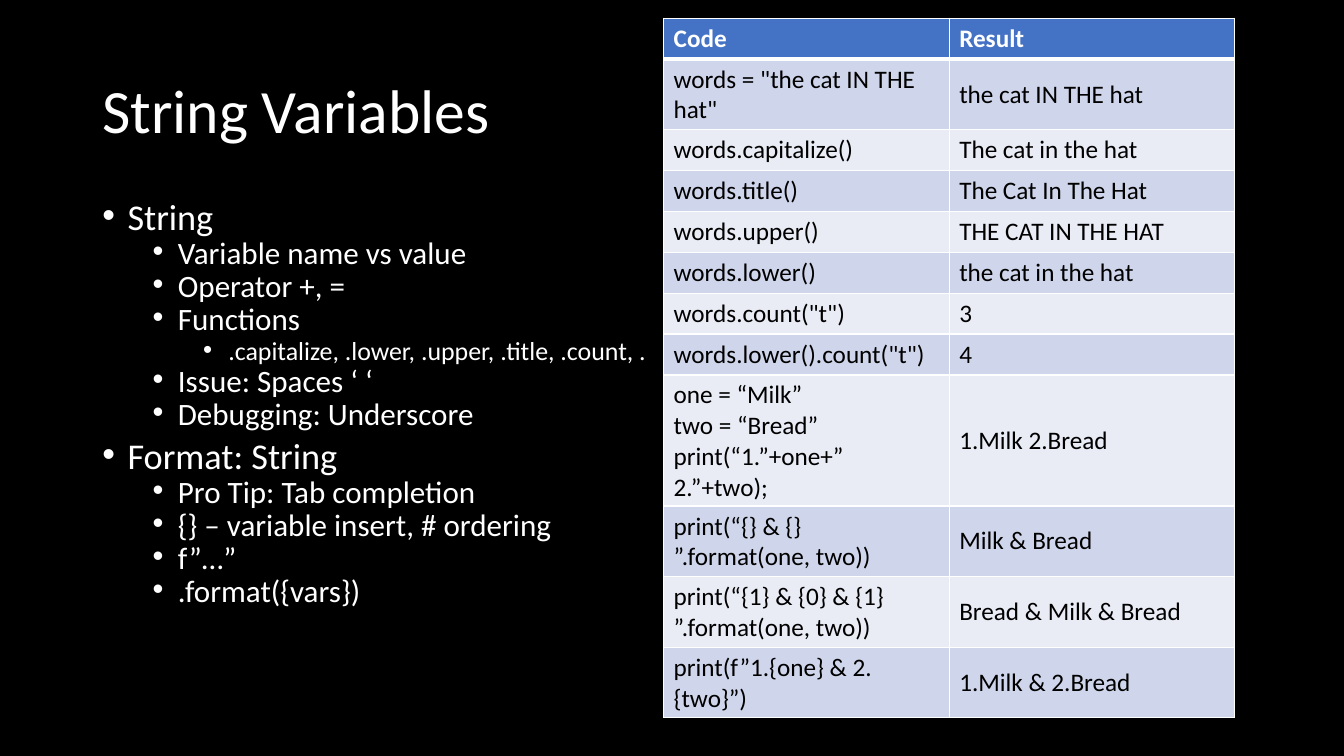
from lxml.etree import SubElement
from pptx import Presentation
from pptx.dml.color import RGBColor
from pptx.enum.text import MSO_ANCHOR
from pptx.oxml.ns import qn
from pptx.util import Pt

BLACK = RGBColor(0x00, 0x00, 0x00)
WHITE = RGBColor(0xFF, 0xFF, 0xFF)
HEADER_BLUE = RGBColor(0x44, 0x72, 0xC4)
BAND_DARK = RGBColor(0xCF, 0xD5, 0xEA)
BAND_LIGHT = RGBColor(0xE9, 0xEB, 0xF5)
FONT = "Calibri"

# Outline: (level, text)
TOPICS = [
    (0, "String"),
    (1, "Variable name vs value"),
    (1, "Operator +, ="),
    (1, "Functions"),
    (2, ".capitalize, .lower, .upper, .title, .count, ."),
    (1, "Issue: Spaces ‘ ‘"),
    (1, "Debugging: Underscore"),
    (0, "Format: String"),
    (1, "Pro Tip: Tab completion"),
    (1, "{} – variable insert, # ordering"),
    (1, "f”…”"),
    (1, ".format({vars})"),
]
LEVEL_SIZES = [25.9, 22.2, 18.5]
LEVEL_GAPS = [10, 5, 5]

EXAMPLES = [
    ("Code", "Result"),
    ('words = "the cat IN THE hat"', "the cat IN THE hat"),
    ("words.capitalize()", "The cat in the hat"),
    ("words.title()", "The Cat In The Hat"),
    ("words.upper()", "THE CAT IN THE HAT"),
    ("words.lower()", "the cat in the hat"),
    ('words.count("t")', "3"),
    ('words.lower().count("t")', "4"),
    ("one = “Milk”\ntwo = “Bread”\nprint(“1.”+one+” 2.”+two);", "1.Milk 2.Bread"),
    ("print(“{} & {} ”.format(one, two))", "Milk & Bread"),
    ("print(“{1} & {0} & {1} ”.format(one, two))", "Bread & Milk & Bread"),
    ("print(f”1.{one} & 2.{two}”)", "1.Milk & 2.Bread"),
]


def set_font(paragraph, size, color, bold=False):
    font = paragraph.font
    font.name, font.size, font.bold = FONT, Pt(size), bold
    font.color.rgb = color


def add_text_frame(slide, left, top, width, height):
    box = slide.shapes.add_textbox(Pt(left), Pt(top), Pt(width), Pt(height))
    box.text_frame.word_wrap = True
    return box.text_frame


def add_title(slide, left, top, width, height):
    frame = add_text_frame(slide, left, top, width, height)
    frame.vertical_anchor = MSO_ANCHOR.MIDDLE
    title = frame.paragraphs[0]
    title.text = "String Variables"
    title.line_spacing = 0.9
    set_font(title, 44, WHITE)


def add_outline(slide, left, top, width, height):
    frame = add_text_frame(slide, left, top, width, height)
    frame.text = "\n".join(text for _, text in TOPICS)
    for topic, (level, _) in zip(frame.paragraphs, TOPICS):
        topic.level = level
        topic.line_spacing = 0.7
        topic.space_before = Pt(LEVEL_GAPS[level])
        set_font(topic, LEVEL_SIZES[level], WHITE)
        # Hanging bullet, 36 pt further in per level
        props = topic._p.get_or_add_pPr()
        props.set("marL", str(Pt(18 + 36 * level)))
        props.set("indent", str(Pt(-18)))
        bullet_font = props.makeelement(qn("a:buFont"), {"typeface": "Arial"})
        bullet = props.makeelement(qn("a:buChar"), {"char": "•"})
        props.find(qn("a:spcBef")).addnext(bullet_font)
        bullet_font.addnext(bullet)


def add_borders(cell, row):
    widths = {"L": 1, "R": 1, "T": 3 if row == 1 else 1, "B": 3 if row == 0 else 1}
    for side, width in widths.items():
        line = SubElement(cell._tc.get_or_add_tcPr(), qn("a:ln" + side), w=str(Pt(width)))
        fill = SubElement(line, qn("a:solidFill"))
        SubElement(fill, qn("a:srgbClr"), val=str(WHITE))


def add_examples(slide, left, top, width, row_height):
    rows = len(EXAMPLES)
    table = slide.shapes.add_table(
        rows, 2, Pt(left), Pt(top), Pt(width), Pt(row_height * rows)).table
    for row, texts in enumerate(EXAMPLES):
        header = row == 0
        band = HEADER_BLUE if header else BAND_DARK if row % 2 else BAND_LIGHT
        for column, text in enumerate(texts):
            cell = table.cell(row, column)
            cell.text = text
            cell.vertical_anchor = MSO_ANCHOR.MIDDLE
            add_borders(cell, row)
            cell.fill.solid()
            cell.fill.fore_color.rgb = band
            for paragraph in cell.text_frame.paragraphs:
                set_font(paragraph, 18, WHITE if header else BLACK, header)


def main():
    deck = Presentation()
    deck.slide_width, deck.slide_height = Pt(960), Pt(540)
    slide = deck.slides.add_slide(deck.slide_layouts[6])
    slide.background.fill.solid()
    slide.background.fill.fore_color.rgb = BLACK
    add_title(slide, 66, 28.75, 828, 104.4)
    add_outline(slide, 66, 143.75, 408, 342.6)
    add_examples(slide, 474, 13, 408, 29.2)
    deck.save("out.pptx")


if __name__ == "__main__":
    main()
